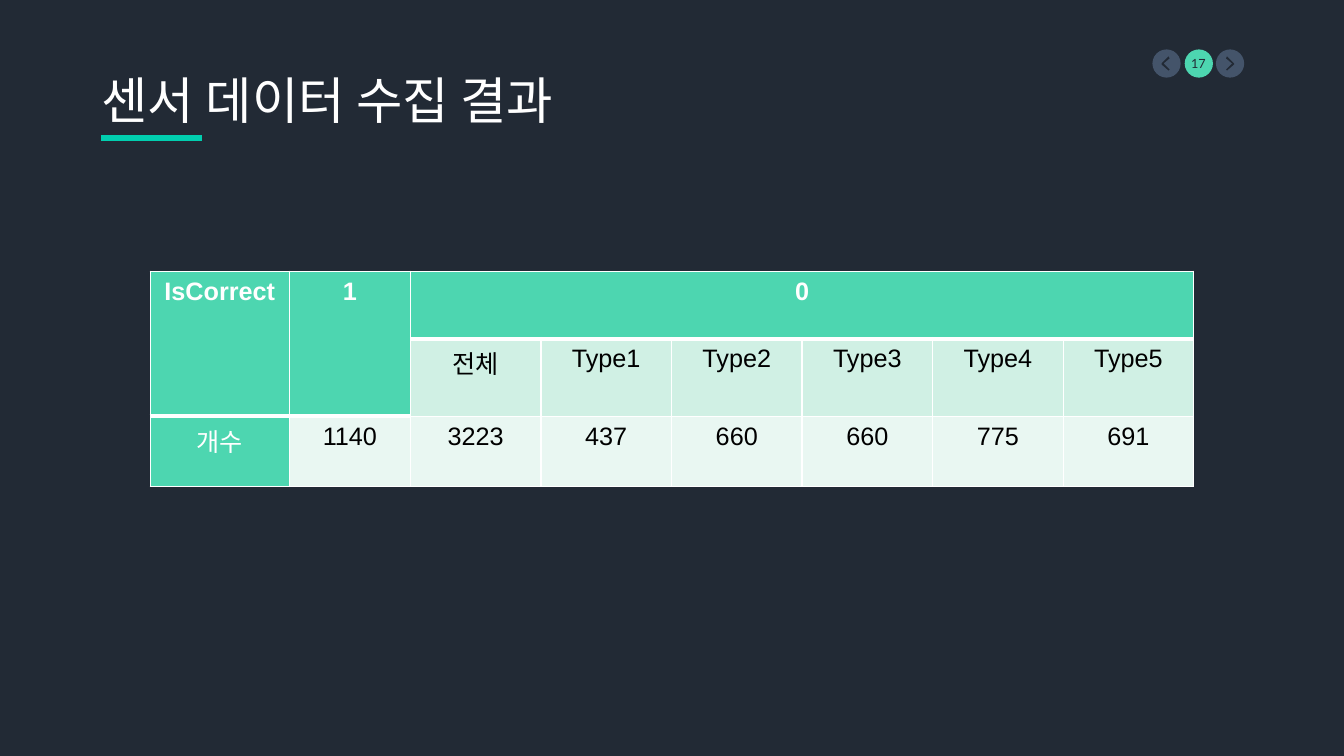
"""Build the slide that tabulates the sensor data collection results."""
import pptx
import pptx.dml.color
import pptx.enum.shapes
import pptx.enum.text
import pptx.oxml
import pptx.oxml.ns
import pptx.util
import lxml.etree

Inches = pptx.util.Inches
Pt = pptx.util.Pt
NIGHT, MINT, SLATE, WHITE, BLACK = "222A35", "4DD6B0", "44546A", "FFFFFF", "000000"
CENTER = pptx.enum.text.PP_ALIGN.CENTER


def color(code):
    return pptx.dml.color.RGBColor.from_string(code)


def write(frame, text, size, name, code, align=None, bold=False):
    para = frame.paragraphs[0]
    para.add_run().text = text
    para.alignment = align
    para.font.size = Pt(size)
    para.font.name = name
    para.font.bold = bold
    para.font.color.rgb = color(code)


deck = pptx.Presentation()
deck.slide_width, deck.slide_height = Inches(13.33), Inches(7.5)
page = deck.slides.add_slide(deck.slide_layouts[6])
page.background.fill.solid()
page.background.fill.fore_color.rgb = color(NIGHT)

for left, code in ((11.43, SLATE), (11.75, MINT), (12.06, SLATE)):
    button = page.shapes.add_shape(
        pptx.enum.shapes.MSO_SHAPE.OVAL,
        Inches(left), Inches(0.49), Inches(0.28), Inches(0.28))
    button.shadow.inherit = False
    button.fill.solid()
    button.fill.fore_color.rgb = color(code)
    button.line.fill.background()

chevron = [(-4, 58), (2, 63), (-4, 69), (-3, 70), (4, 64), (4, 63), (-3, 56)]
for middle, direction in ((1220, 1), (1156, -1)):
    points = [(middle + direction * x, y) for x, y in chevron]
    builder = page.shapes.build_freeform(*points[0], scale=Inches(0.01))
    builder.add_line_segments(points[1:], close=True)
    arrow = builder.convert_to_shape()
    arrow.shadow.inherit = False
    arrow.fill.solid()
    arrow.fill.fore_color.rgb = color(NIGHT)
    arrow.line.fill.background()

number = page.shapes.add_textbox(Inches(11.71), Inches(0.5), Inches(0.35), Inches(0.25))
number.text_frame.word_wrap = True
number.text_frame.vertical_anchor = pptx.enum.text.MSO_ANCHOR.MIDDLE
write(number.text_frame, "17", 9, "Lato", NIGHT, CENTER)

title = page.shapes.add_textbox(Inches(0.91), Inches(0.64), Inches(10.14), Inches(0.71))
title.text_frame.word_wrap = True
write(title.text_frame, "센서 데이터 수집 결과", 36, "Lato", WHITE)

underline = page.shapes.add_connector(
    pptx.enum.shapes.MSO_CONNECTOR.STRAIGHT,
    Inches(1), Inches(1.37), Inches(2), Inches(1.37))
underline.line.color.rgb = color("01CEAF")
underline.line.width = Pt(4.5)
lxml.etree.SubElement(underline._element.spPr, pptx.oxml.ns.qn("a:effectLst"))

rows = [
    ["IsCorrect", "1", "0", "", "", "", "", ""],
    ["", "", "전체", "Type1", "Type2", "Type3", "Type4", "Type5"],
    ["개수", "1140", "3223", "437", "660", "660", "775", "691"],
]
widths = [1.38, 1.2] + [1.295] * 6
heights = [0.67, 0.77, 0.7]
bands = [MINT, "D0F0E4", "E9F7F2"]
table = page.shapes.add_table(
    len(rows), len(widths), Inches(1.49), Inches(2.69),
    Inches(sum(widths)), Inches(sum(heights))).table
for column, width in zip(table.columns, widths):
    column.width = Inches(width)
for row, height in zip(table.rows, heights):
    row.height = Inches(height)
for first, last in (((0, 0), (1, 0)), ((0, 1), (1, 1)), ((0, 2), (0, 7))):
    table.cell(*first).merge(table.cell(*last))

for r, texts in enumerate(rows):
    for c, text in enumerate(texts):
        cell = table.cell(r, c)
        header = r == 0 or c == 0 or (r == 1 and c == 1)
        cell.margin_left = cell.margin_right = Inches(0.13)
        cell.margin_top = cell.margin_bottom = Inches(0.06)
        cell.fill.solid()
        cell.fill.fore_color.rgb = color(MINT if header else bands[r])
        if text:
            write(cell.text_frame, text, 18, "Arial",
                  WHITE if header else BLACK, CENTER, r == 0)
        header_end = 1 if c < 2 else 0
        borders = {"L": 1, "R": 1, "T": 3 if r == header_end + 1 else 1,
                   "B": 3 if r in (0, header_end) else 1}
        for index, (side, weight) in enumerate(borders.items()):
            border = pptx.oxml.parse_xml(
                f'<a:ln{side} {pptx.oxml.ns.nsdecls("a")} w="{Pt(weight)}">'
                f'<a:solidFill><a:srgbClr val="{WHITE}"/></a:solidFill></a:ln{side}>')
            cell._tc.get_or_add_tcPr().insert(index, border)

deck.save("out.pptx")
